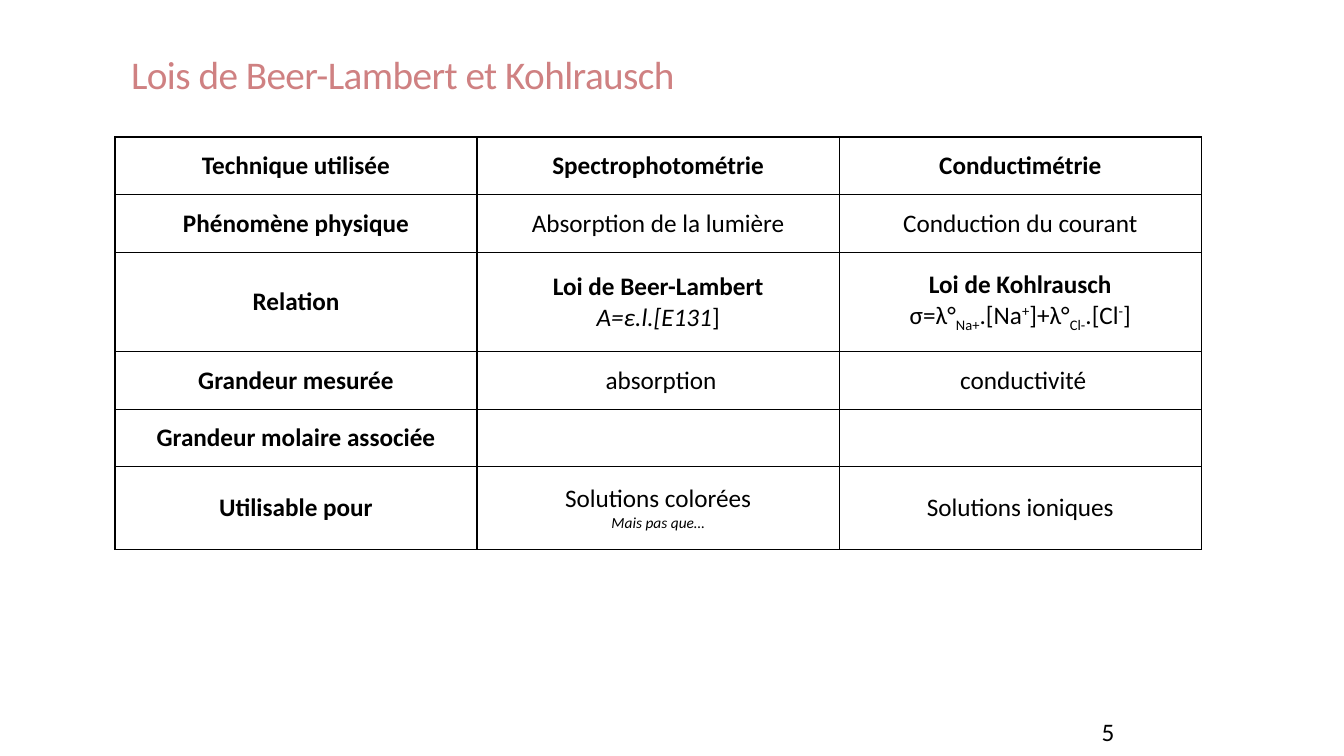
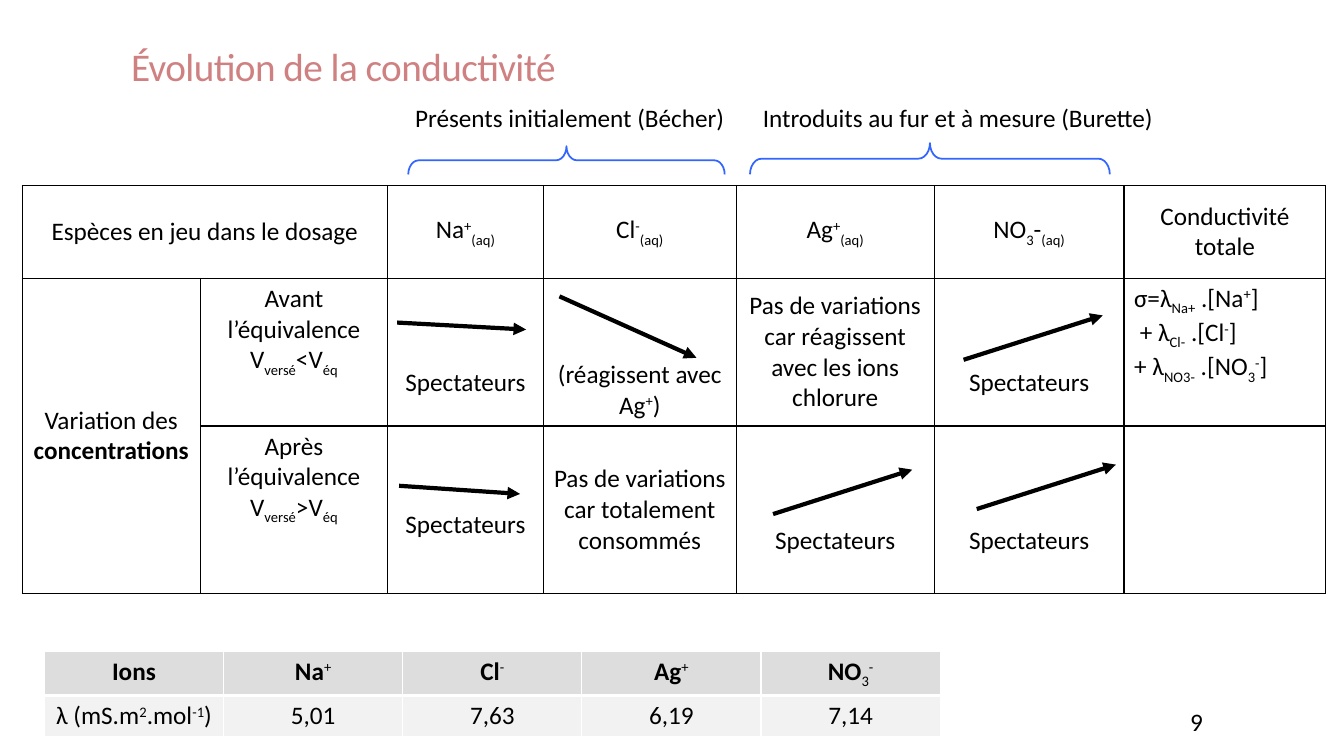
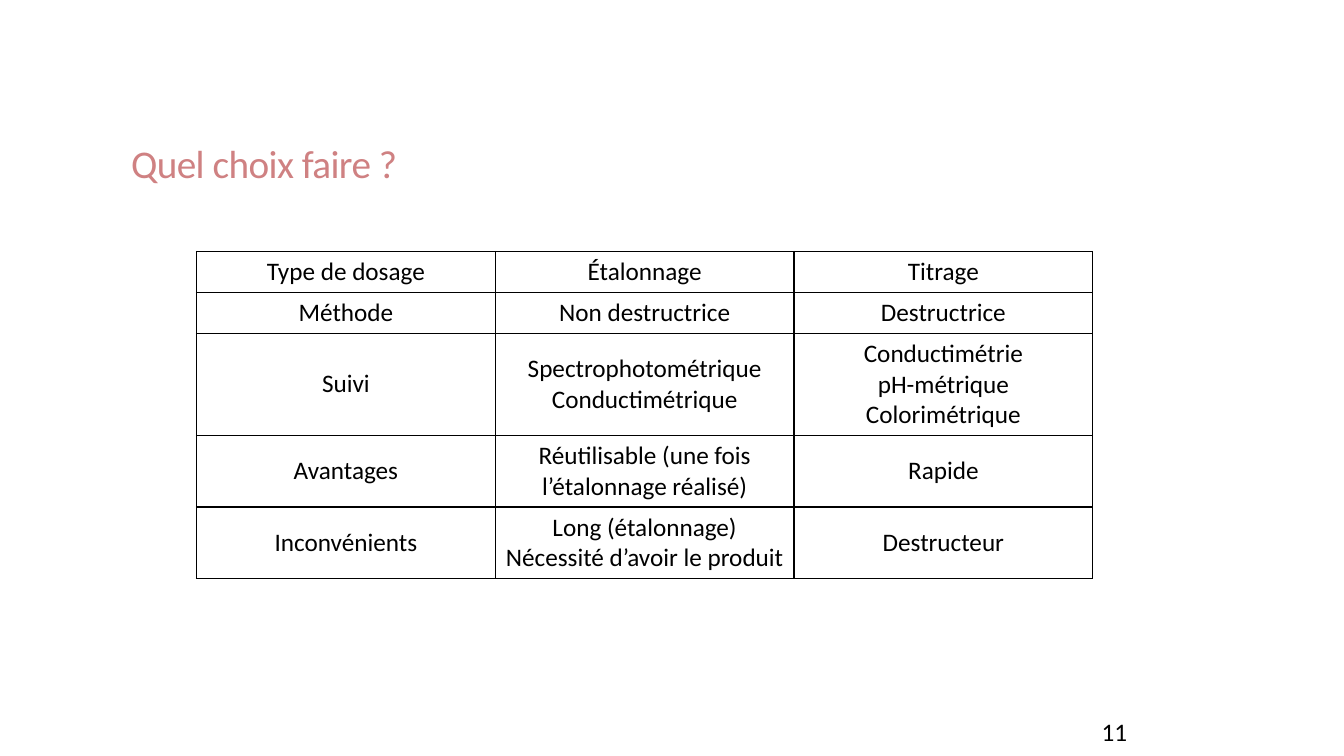
from pptx import Presentation
from pptx import util as u
from pptx.dml.color import RGBColor
from pptx.enum import shapes, text
from pptx.oxml.ns import qn
from lxml import etree

Pt = u.Pt
INK, ROSE, BLUE, WHITE = "000000", "CF8182", "3366FF", "FFFFFF"
MID, TOP, LOW = (text.MSO_ANCHOR.MIDDLE, text.MSO_ANCHOR.TOP,
                 text.MSO_ANCHOR.BOTTOM)
LEFT, MIDST = text.PP_ALIGN.LEFT, text.PP_ALIGN.CENTER
LINE = 22  # height of one line of body text

# First letter of a segment -> its format
MARKS = {"^": {"base": 30}, "_": {"base": -25}, "*": {"bold": True},
         "/": {"ital": True}, "~": {"ital": True, "size": 11}}


def rgb(code):
    return RGBColor.from_string(code)


def run(para, words, size=18, color=INK, bold=False, ital=False, base=0, spc=0):
    piece = para.add_run()
    piece.text = words
    font = piece.font
    font.name, font.size = "Calibri", Pt(size)
    font.bold, font.italic = bold, ital
    font.color.rgb = rgb(color)
    props = piece._r.get_or_add_rPr()
    if base:
        props.set("baseline", str(base * 1000))
    if spc:
        props.set("spc", str(int(spc * 100)))


def put(frame, words, align=LEFT, space=None, **fmt):
    """Write lines; segments are parted by | and may start with a mark."""
    for i, row in enumerate(words.split("\n")):
        para = frame.paragraphs[0] if i == 0 else frame.add_paragraph()
        para.alignment = align
        if space:
            para.line_spacing = space
        for part in row.split("|"):
            look = MARKS.get(part[:1])
            run(para, part[1:] if look else part, **{**fmt, **(look or {})})


def edge(cell, color, widths):
    """Draw the left, right, top and bottom borders of a cell."""
    props = cell._tc.get_or_add_tcPr()
    for i, (side, wide) in enumerate(zip("LRTB", widths)):
        line = etree.Element(qn("a:ln" + side), w=str(Pt(wide)))
        fill = etree.SubElement(line, qn("a:solidFill"))
        etree.SubElement(fill, qn("a:srgbClr"), val=color)
        props.insert(i, line)


class Deck:
    def __init__(self):
        self.prs = Presentation()
        self.prs.slide_width, self.prs.slide_height = Pt(960), Pt(540)

    def page(self, title, top, high, num, spot=(779.8, 508.3)):
        """Start a slide with its title and number."""
        self.slide = self.prs.slides.add_slide(self.prs.slide_layouts[5])
        head = self.slide.shapes.title
        head.left, head.top = Pt(86.4), Pt(top)
        head.width, head.height = Pt(792), Pt(high)
        frame = head.text_frame
        frame.auto_size = text.MSO_AUTO_SIZE.NONE
        frame.vertical_anchor = LOW
        put(frame, title, space=0.85, size=28, color=ROSE, spc=-0.4)
        self.label(num, *spot, 103, wrap=True)

    def label(self, words, x, y, w, wrap=False):
        box = self.slide.shapes.add_textbox(Pt(x), Pt(y), Pt(w), Pt(29))
        box.text_frame.word_wrap = wrap
        put(box.text_frame, words)

    def table(self, x, y, cols, rows, data, fills=(), line=INK, base=1,
              anchor=MID, merge=(), looks=None):
        """looks maps (row, column) to anchor, align and blank lines above."""
        grid = self.slide.shapes.add_table(
            len(rows), len(cols), Pt(x), Pt(y), Pt(sum(cols)),
            Pt(sum(rows))).table
        grid.first_row = grid.horz_banding = False
        for col, wide in zip(grid.columns, cols):
            col.width = Pt(wide)
        for row, high in zip(grid.rows, rows):
            row.height = Pt(high)
        for a, b in merge:
            grid.cell(*a).merge(grid.cell(*b))
        for r, row in enumerate(data):
            for c, words in enumerate(row):
                cell = grid.cell(r, c)
                look = (looks or {}).get((r, c), {})
                cell.fill.solid()
                cell.fill.fore_color.rgb = rgb(fills[r] if fills else WHITE)
                edge(cell, line, (1, 1, 1, base if r == 0 else 1))
                cell.vertical_anchor = look.get("anchor", anchor)
                cell.margin_top = Pt(3.6 + LINE * look.get("gap", 0))
                if words:
                    put(cell.text_frame, words, look.get("align", MIDST))

    def arrow(self, x1, y1, x2, y2):
        line = self.slide.shapes.add_connector(
            shapes.MSO_CONNECTOR.STRAIGHT, Pt(x1), Pt(y1), Pt(x2), Pt(y2))
        line.line.color.rgb, line.line.width = rgb(INK), Pt(3)
        etree.SubElement(line.line._get_or_add_ln(), qn("a:tailEnd"),
                         type="triangle")
        etree.SubElement(line._element.spPr, qn("a:effectLst"))

    def brace(self, x, y, w, h):
        """Draw a brace that points up and fills the given box."""
        turn = (w - h) / 2
        mark = self.slide.shapes.add_shape(
            shapes.MSO_SHAPE.LEFT_BRACE, Pt(x + turn), Pt(y - turn), Pt(h), Pt(w))
        mark.rotation = 90
        mark.adjustments[0], mark.adjustments[1] = 0.367, 0.5
        mark.shadow.inherit = False
        mark.fill.background()
        mark.line.color.rgb, mark.line.width = rgb(BLUE), Pt(1.25)


def laws(deck):
    deck.page("Lois de Beer-Lambert et Kohlrausch", 24.5, 49, "5")
    deck.table(82.1, 97.9, [258.7] * 3, [41.2, 41.2, 71, 41.2, 41, 59.2], [
        ["*Technique utilisée", "*Spectrophotométrie", "*Conductimétrie"],
        ["*Phénomène physique", "Absorption de la lumière",
         "Conduction du courant"],
        ["*Relation", "*Loi de Beer-Lambert\n/A=ε.l.[E131|]",
         "*Loi de Kohlrausch\nσ=λ°|_Na+|.[Na|^+|]+λ°|_Cl-|.[Cl|^-|]"],
        ["*Grandeur mesurée", " absorption", " conductivité"],
        ["*Grandeur molaire associée", "", ""],
        ["*Utilisable pour", "Solutions colorées\n~Mais pas que…",
         "Solutions ioniques"],
    ])


def change(deck):
    deck.page("Évolution de la conductivité", 2.2, 65.5, "9", (843.1, 501.1))
    # Species table
    seen, none = "Spectateurs", "Pas de variations car "
    low = {"gap": 2}
    deck.table(
        15.8, 132.5, [127.4, 133.6, 111.4, 137.7, 141.5, 135.6, 144.2],
        [66.4, 105.4, 119.6], [
            ["Espèces en jeu dans le dosage", "", "Na|^+|_(aq)", "Cl|^-|_(aq)",
             "Ag|^+|_(aq)", "NO|_3|-|_(aq)", "Conductivité totale"],
            ["Variation des |*concentrations",
             "Avant l’équivalence\nV|_versé|<V|_éq", seen,
             "(réagissent avec Ag|^+|)",
             none + "réagissent avec les ions chlorure", seen,
             "σ=λ|_Na+| .[Na|^+|]\n + λ|_Cl-| .[Cl|^-|]\n"
             "+ λ|_NO3-| .[NO|_3|^-|]"],
            ["", "Après l’équivalence\nV|_versé|>V|_éq", seen,
             none + "totalement consommés", seen, seen, ""],
        ],
        merge=[((0, 0), (0, 1)), ((1, 0), (2, 0))],
        looks={(1, 1): {"anchor": TOP}, (2, 1): {"anchor": TOP},
               (1, 3): {"anchor": LOW}, (1, 6): {"anchor": TOP, "align": LEFT},
               (1, 2): low, (1, 5): low, (2, 4): low, (2, 5): low,
               (2, 2): {"gap": 1}})
    # Trends: slight fall, clear fall, then equal rises
    for ends in [(283.7, 230.4, 375.8, 235.4), (285.1, 347, 371.5, 352.8),
                 (399.6, 211.7, 497.5, 255.6)]:
        deck.arrow(*ends)
    for x, y in [(552.2, 367.2), (688.3, 257), (697.7, 363.6)]:
        deck.arrow(x, y, x + 99.4, y - 31.7)
    # Groups of ions
    deck.brace(291.6, 104.4, 226, 20.2)
    deck.brace(535.7, 102.2, 257, 22.3)
    deck.label("Introduits au fur et à mesure (Burette)", 537.8, 69.8, 306.7)
    deck.label("Présents initialement (Bécher)", 289.4, 69.8, 238.3)
    # Molar conductivities
    deck.table(31.7, 465.1, [128] * 5, [29.2] * 2, [
        ["*Ions", "*Na|^+", "*Cl|^-", "*Ag|^+", "*NO|_3|^-"],
        ["λ (mS.m|^2|.mol|^-1|)", "5,01", "7,63", "6,19", "7,14"],
    ], fills=["DDDDDD", "F2F2F2"], line=WHITE, base=3, anchor=TOP)


def choice(deck):
    deck.page("Quel choix faire ?", 22.3, 114.5, "11")
    deck.table(140.4, 179.6, [213.4] * 3, [29.2, 29.2, 73, 51.2, 51.2], [
        ["Type de dosage", "Étalonnage", "Titrage"],
        ["Méthode", "Non destructrice", "Destructrice"],
        ["Suivi", "Spectrophotométrique\nConductimétrique",
         "Conductimétrie\npH-métrique\nColorimétrique"],
        ["Avantages", "Réutilisable (une fois l’étalonnage réalisé)", "Rapide"],
        ["Inconvénients", "Long (étalonnage)\nNécessité d’avoir le produit",
         "Destructeur"],
    ])


def main():
    deck = Deck()
    for build in (laws, change, choice):
        build(deck)
    deck.prs.save("out.pptx")


if __name__ == "__main__":
    main()
